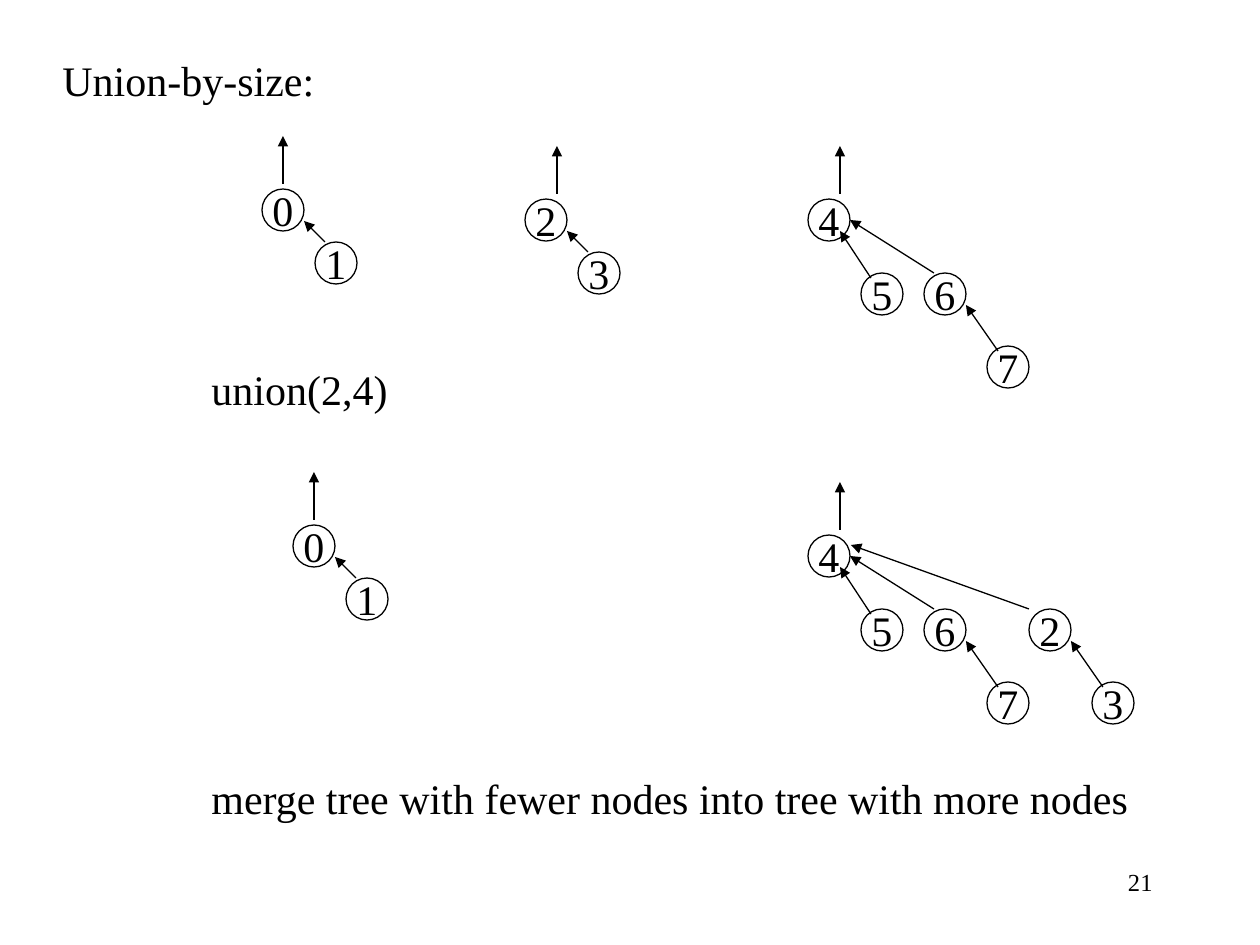
from dataclasses import dataclass

from lxml.etree import SubElement
from pptx import Presentation
from pptx.dml.color import RGBColor
from pptx.enum.shapes import MSO_CONNECTOR as Connector, MSO_SHAPE as Shape
from pptx.enum.text import MSO_ANCHOR as Anchor, MSO_AUTO_SIZE as AutoSize, PP_ALIGN as Align
from pptx.oxml.ns import qn
from pptx.util import Pt

PX = 914400 // 126  # EMU per pixel
NODE = 42           # node diameter


@dataclass(frozen=True)
class Theme:
    ink: RGBColor = RGBColor(0, 0, 0)
    font: str = "Times New Roman"
    body: Pt = Pt(24)
    footer: Pt = Pt(14)
    stroke: Pt = Pt(0.75)


@dataclass(frozen=True)
class Link:
    parent: str
    child: str
    step: tuple            # child position, from the parent
    foot: tuple = (10, 0)  # arrow start, from the child
    head: tuple = (42, 32) # arrow tip, from the parent


THEME = Theme()


def px(*lengths):
    return [length * PX for length in lengths]


def shift(point, offset):
    return point[0] + offset[0], point[1] + offset[1]


def write(frame, words, size, align):
    paragraph = frame.paragraphs[0]
    paragraph.text = words
    paragraph.alignment = align
    font = paragraph.font
    font.name, font.size, font.color.rgb = THEME.font, size, THEME.ink


def add_label(slide, words, left, top, width, size=THEME.body, align=Align.LEFT, wrap=False):
    frame = slide.shapes.add_textbox(*px(left, top, width, 63)).text_frame
    frame.word_wrap = wrap
    frame.auto_size = AutoSize.NONE if wrap else AutoSize.SHAPE_TO_FIT_TEXT
    write(frame, words, size, align)


def add_node(slide, key, position):
    node = slide.shapes.add_shape(Shape.OVAL, *px(*position, NODE, NODE))
    node.shadow.inherit = False
    node.fill.background()
    node.line.color.rgb, node.line.width = THEME.ink, THEME.stroke
    node.text_frame.word_wrap = False
    node.text_frame.vertical_anchor = Anchor.MIDDLE
    write(node.text_frame, key, THEME.body, Align.CENTER)


def add_arrow(slide, start, tip):
    arrow = slide.shapes.add_connector(Connector.STRAIGHT, *px(*start, *tip))
    arrow.line.color.rgb, arrow.line.width = THEME.ink, THEME.stroke
    SubElement(arrow.line._get_or_add_ln(), qn("a:tailEnd"), type="triangle")
    SubElement(arrow._element.spPr, qn("a:effectLst"))


def add_tree(slide, root, position, links, stem=32):
    """Draw a root with its upward arrow, then each child linked to its parent."""
    places = {root: position}
    add_node(slide, root, position)
    add_arrow(slide, shift(position, (stem, -5)), shift(position, (stem, -53)))
    for link in links:
        parent = places[link.parent]
        child = places[link.child] = shift(parent, link.step)
        add_node(slide, link.child, child)
        add_arrow(slide, shift(child, link.foot), shift(parent, link.head))


def main():
    deck = Presentation()
    deck.slide_width, deck.slide_height = px(1260, 945)
    slide = deck.slides.add_slide(deck.slide_layouts[6])

    # Links of each tree
    zero_links = [Link("0", "1", (53, 53))]
    two_links = [Link("2", "3", (53, 53))]
    four_links = [
        Link("4", "5", (53, 74), foot=(10, 5), head=(32, 32)),
        Link("4", "6", (116, 74), head=(42, 21)),
        Link("6", "7", (63, 73), foot=(11, 5)),
    ]
    merged_links = four_links + [
        Link("4", "2", (221, 74), foot=(0, 0), head=(43, 10)),
        Link("2", "3", (63, 73), foot=(11, 5)),
    ]

    # Forest before the union
    add_label(slide, "Union-by-size:", 50, 48, 277)
    add_tree(slide, "0", (262, 189), zero_links, stem=21)
    add_tree(slide, "2", (525, 199), two_links)
    add_tree(slide, "4", (808, 199), four_links)

    # Forest after the union
    add_label(slide, "union(2,4)", 199, 357, 202)
    add_tree(slide, "0", (293, 525), zero_links, stem=21)
    add_tree(slide, "4", (808, 535), merged_links)

    # Rule and slide number
    add_label(slide, "merge tree with fewer nodes into tree with more nodes", 199, 766, 943)
    add_label(slide, "21", 903, 861, 262, THEME.footer, Align.RIGHT, wrap=True)

    deck.save("out.pptx")


main()
